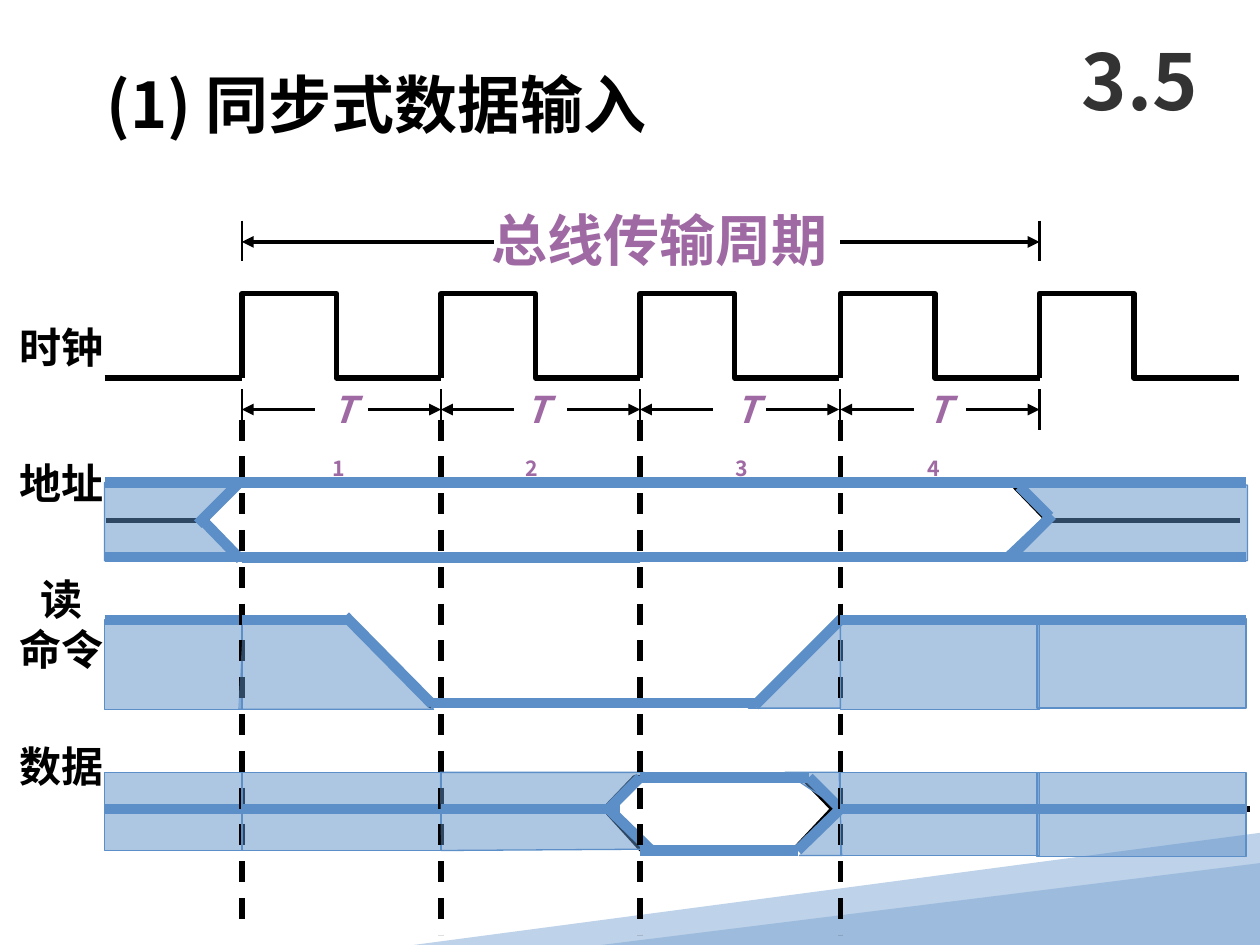
from pptx import Presentation
from pptx.dml.color import RGBColor
from pptx.enum.dml import MSO_LINE
from pptx.enum.shapes import MSO_CONNECTOR, MSO_SHAPE
from pptx.enum.text import MSO_ANCHOR, PP_ALIGN
from pptx.oxml.ns import qn
from pptx.util import Inches, Pt
from lxml.etree import SubElement

COLORS = {"ink": "000000", "number": "333333", "accent": "9F69A3",
          "signal": "5C8FC7", "wedge_light": "BED2E9", "wedge_dark": "9DBCDD"}
FONT = "Noto Sans CJK SC"


class TimingSlide:
    """Drawing style and the page being drawn."""

    def __init__(self, page):
        self.page = page

    def color(self, name):
        return RGBColor.from_string(COLORS[name])

    def paint(self, shape, fill=None, line=None, width=0.75, alpha=None):
        shape.shadow.inherit = False
        if fill:
            shape.fill.solid()
            shape.fill.fore_color.rgb = self.color(fill)
            if alpha:
                solid = shape._element.spPr.find(qn("a:solidFill"))
                SubElement(solid[0], qn("a:alpha"), val=str(alpha * 1000))
        else:
            shape.fill.background()
        if line:
            shape.line.color.rgb = self.color(line)
            shape.line.width = Pt(width)
        else:
            shape.line.fill.background()

    def line(self, start, end, width=3, color="ink", arrow=None, dash=False):
        link = self.page.shapes.add_connector(
            MSO_CONNECTOR.STRAIGHT, *[Inches(v) for v in (*start, *end)])
        link.line.color.rgb = self.color(color)
        link.line.width = Pt(width)
        if dash:
            link.line.dash_style = MSO_LINE.DASH
        if arrow:
            SubElement(link.line._get_or_add_ln(), qn(f"a:{arrow}"), type="triangle")
        SubElement(link._element.spPr, qn("a:effectLst"))

    def signal(self, start, end, width=6):
        self.line(start, end, width, "signal")

    def outline(self, points, close=False, **style):
        first, *rest = [(Inches(x), Inches(y)) for x, y in points]
        builder = self.page.shapes.build_freeform(*first, scale=1.0)
        builder.add_line_segments(rest, close=close)
        self.paint(builder.convert_to_shape(), **style)

    def shade(self, points, close=False):
        self.outline(points, close, fill="signal", line="signal", alpha=50)

    def preset(self, kind, left, top, width, height, **style):
        shape = self.page.shapes.add_shape(
            kind, *[Inches(v) for v in (left, top, width, height)])
        self.paint(shape, **style)
        return shape

    def block(self, left, right, top, bottom):
        self.preset(MSO_SHAPE.RECTANGLE, left, top, right - left, bottom - top,
                    fill="signal", line="signal", alpha=50)

    def text(self, lines, left, top, width, height, size, color="ink",
             align=PP_ALIGN.LEFT, inset=(0, 0), anchor=MSO_ANCHOR.TOP, wrap=True):
        box = self.page.shapes.add_textbox(
            *[Inches(v) for v in (left, top, width, height)])
        frame = box.text_frame
        frame.word_wrap = wrap
        frame.vertical_anchor = anchor
        frame.margin_left = frame.margin_right = Inches(inset[0])
        frame.margin_top = frame.margin_bottom = Inches(inset[1])
        for index, content in enumerate(lines):
            para = frame.add_paragraph() if index else frame.paragraphs[0]
            para.text = content
            para.alignment = align
            font = para.font
            font.name, font.size, font.bold = FONT, Pt(size), True
            font.color.rgb = self.color(color)
            for span in para.runs:
                SubElement(span._r.get_or_add_rPr(), qn("a:ea"), typeface=FONT)
        return frame

    def period_label(self, number, left):
        frame = self.text(["T"], left, 3.07, 0.25, 0.4, 21, "accent")
        para = frame.paragraphs[0]
        para.runs[0].font.italic = True
        span = para.add_run()
        span.text = str(number)
        span.font._element.set("baseline", "-25000")


deck = Presentation()
deck.slide_width, deck.slide_height = Inches(10), Inches(7.5)
draw = TimingSlide(deck.slides.add_slide(deck.slide_layouts[6]))

# Corner decoration
draw.outline([(10, 6.61), (10, 7.44), (6.73, 7.5), (3.28, 7.5)], True, fill="wedge_light")
wedge = draw.preset(MSO_SHAPE.ISOSCELES_TRIANGLE, 4.77, 6.85, 5.23, 0.65, fill="wedge_dark")
wedge.adjustments[0] = 1

# Title, section number and row labels
draw.text(["(1) 同步式数据输入"], 0.75, 0.47, 5.17, 0.7, 36, inset=(0.1, 0.05))
draw.text(["3.5"], 8.42, 0.17, 1.25, 0.92, 44, "number", PP_ALIGN.CENTER,
          (0.1, 0.05), MSO_ANCHOR.MIDDLE)
draw.text(["总线传输周期"], 3.9, 1.63, 2.67, 0.53, 32, "accent", wrap=False)
for lines, top, height in [(["时钟"], 2.5, 0.5), (["地址"], 3.58, 0.5),
                           (["读", "命令"], 4.5, 0.9), (["数据"], 5.83, 0.5)]:
    draw.text(lines, 0.08, top, 0.82, height, 24, align=PP_ALIGN.CENTER, inset=(0, 0.05))

# Clock: five equal periods after an idle level
EDGES = [1.92, 3.5, 5.08, 6.67, 8.25]
draw.line((0.83, 3), (1.92, 3))
for x in EDGES:
    draw.outline([(x, 3), (x, 2.33), (x + 0.75, 2.33), (x + 0.75, 3), (x + 1.58, 3)],
                 line="ink", width=3)
    draw.line((x, 3.09), (x, 3.41), 1.25)

# Bus cycle and period dimensions
for x in (EDGES[0], EDGES[-1]):
    draw.line((x, 1.75), (x, 2.07), 1.25)
draw.line((1.92, 1.92), (3.92, 1.92), 2.25, arrow="headEnd")
draw.line((6.67, 1.92), (8.25, 1.92), 2.25, arrow="tailEnd")
for number, (x, label_left) in enumerate(zip(EDGES, (2.64, 4.17, 5.84, 7.36)), 1):
    draw.line((x, 3.25), (x + 0.58, 3.25), 2.25, arrow="headEnd")
    draw.line((x + 1, 3.25), (x + 1.58, 3.25), 2.25, arrow="tailEnd")
    draw.period_label(number, label_left)

# Black base traces: address, read command, data
draw.outline([(1.91, 3.83), (1.62, 4.13), (1.92, 4.43), (8.02, 4.43), (8.31, 4.13),
              (8.02, 3.83)], True, line="ink", width=2.5)
draw.outline([(4.8, 6.42), (5.04, 6.17), (6.37, 6.17), (6.61, 6.42), (6.31, 6.74),
              (5.09, 6.74)], True, line="ink", width=3)
for start, end in [((0.84, 4.13), (1.67, 4.13)), ((8.33, 4.13), (9.84, 4.13)),
                   ((0.83, 4.92), (2.79, 4.92)), ((2.74, 4.91), (3.43, 5.61)),
                   ((3.42, 5.58), (6, 5.58)), ((5.98, 5.6), (6.67, 4.9)),
                   ((6.67, 4.92), (9.84, 4.92)), ((0.83, 6.42), (4.8, 6.42)),
                   ((6.61, 6.42), (9.92, 6.42))]:
    draw.line(start, end)

# Coloured signals, one column per clock period
BLOCK, TRACE = "block", "trace"
COLUMNS = [
    (0.83, 1.92, [(BLOCK, 4.92, 5.63), (BLOCK, 6.13, 6.75), (TRACE, 4.92), (TRACE, 6.42),
                  [(1.62, 4.17), (1.84, 3.84), (0.83, 3.83), (0.83, 4.45), (1.9, 4.45)],
                  [(1.91, 4.44), (1.59, 4.11)], [(1.89, 3.84), (1.57, 4.16)]]),
    (1.92, 3.5, [[(1.89, 5.63), (3.44, 5.63), (2.76, 4.92), (1.93, 4.94)],
                 (BLOCK, 6.13, 6.75), (TRACE, 6.42),
                 [(1.92, 4.92), (2.75, 4.92)], [(2.74, 4.89), (3.43, 5.59)]]),
    (3.5, 5.08, [[(3.5, 6.42), (4.92, 6.42)], [(3.42, 5.58), (5.13, 5.58)],
                 [(3.49, 6.13), (5.11, 6.13), (4.83, 6.42), (5.11, 6.74), (3.5, 6.75)],
                 [(4.83, 6.42), (5.08, 6.17)], [(4.83, 6.42), (5.17, 6.75)]]),
    (5.08, 6.67, [[(5.08, 5.58), (6, 5.58)], [(5.08, 6.17), (6.42, 6.17)],
                  [(5.08, 6.75), (6.33, 6.75)], [(5.99, 5.6), (6.69, 4.9)],
                  [(6.33, 6.75), (6.67, 6.42)], [(6.42, 6.17), (6.67, 6.42)],
                  [(5.94, 5.62), (6.67, 5.62), (6.67, 4.87), (5.94, 5.62)],
                  [(6.67, 6.42), (6.23, 6.13), (6.66, 6.13), (6.68, 6.79), (6.34, 6.79)]]),
    (6.67, 8.25, [(TRACE, 4.92), (TRACE, 6.42), [(8.03, 4.41), (8.35, 4.09)],
                  [(8.09, 3.86), (8.33, 4.1)], (BLOCK, 4.92, 5.63), (BLOCK, 6.13, 6.79)]),
    (8.23, 9.89, [(TRACE, 4.92), (TRACE, 6.42),
                  [(8.06, 3.83), (9.9, 3.85), (9.9, 4.45), (7.92, 4.45), (8.31, 4.08)],
                  (BLOCK, 4.91, 5.62), (BLOCK, 6.13, 6.8)]),
]
for number, (left, right, parts) in enumerate(COLUMNS):
    if number in (1, 2):
        for y in (3.85, 4.45):
            draw.signal((left, y), (right, y), 3)
    for y in (3.83, 4.42):
        draw.signal((left, y), (right, y))
    for part in parts:
        if part[0] == BLOCK:
            draw.block(left, right, *part[1:])
        elif part[0] == TRACE:
            draw.signal((left, part[1]), (right, part[1]))
        elif len(part) == 2:
            draw.signal(*part)
        else:
            draw.shade(part)
    # Dashed sampling edge closing the column
    if number < 4:
        draw.line((right, 3.33), (right, 7.42 if number else 7.38), dash=True)

deck.save("out.pptx")
